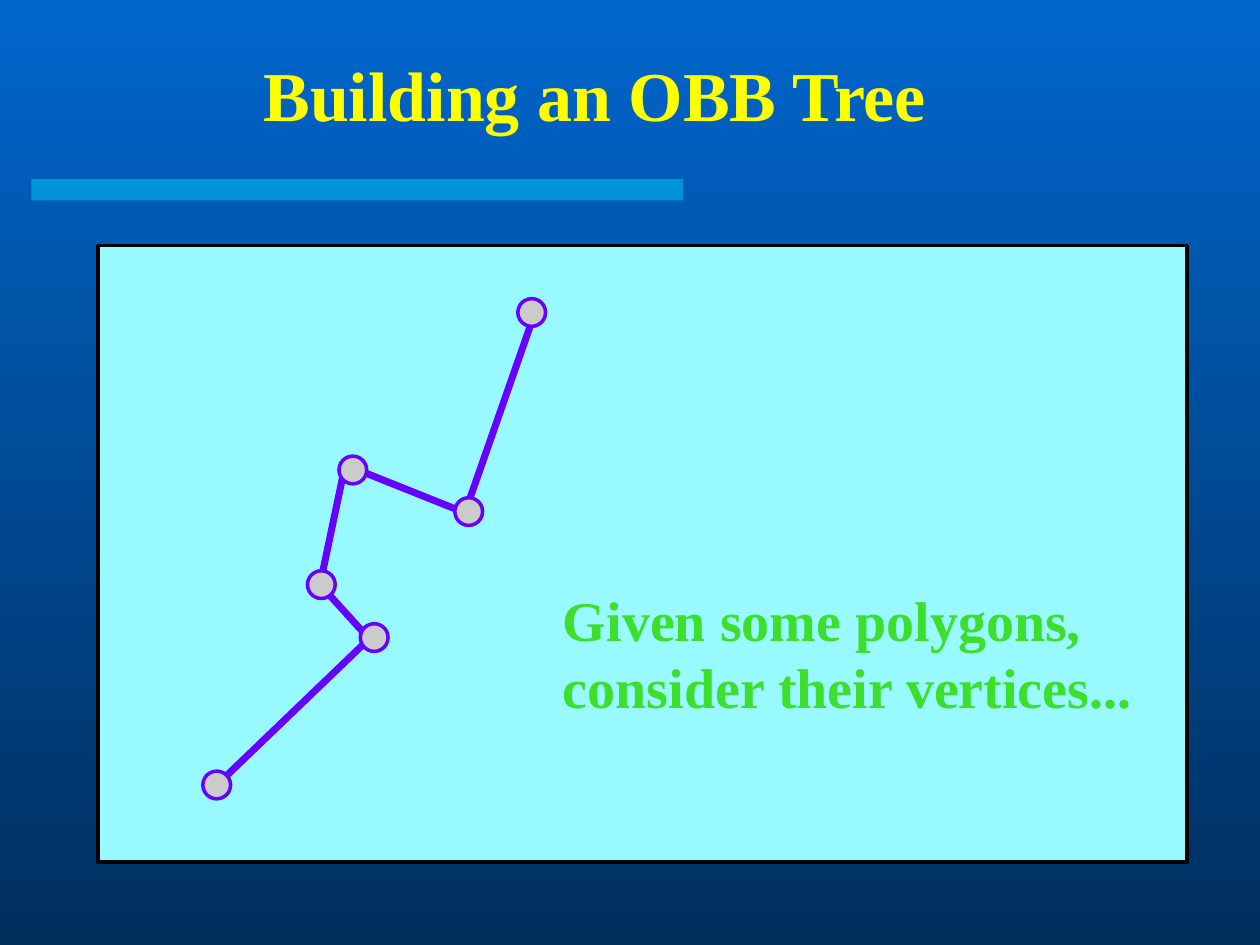
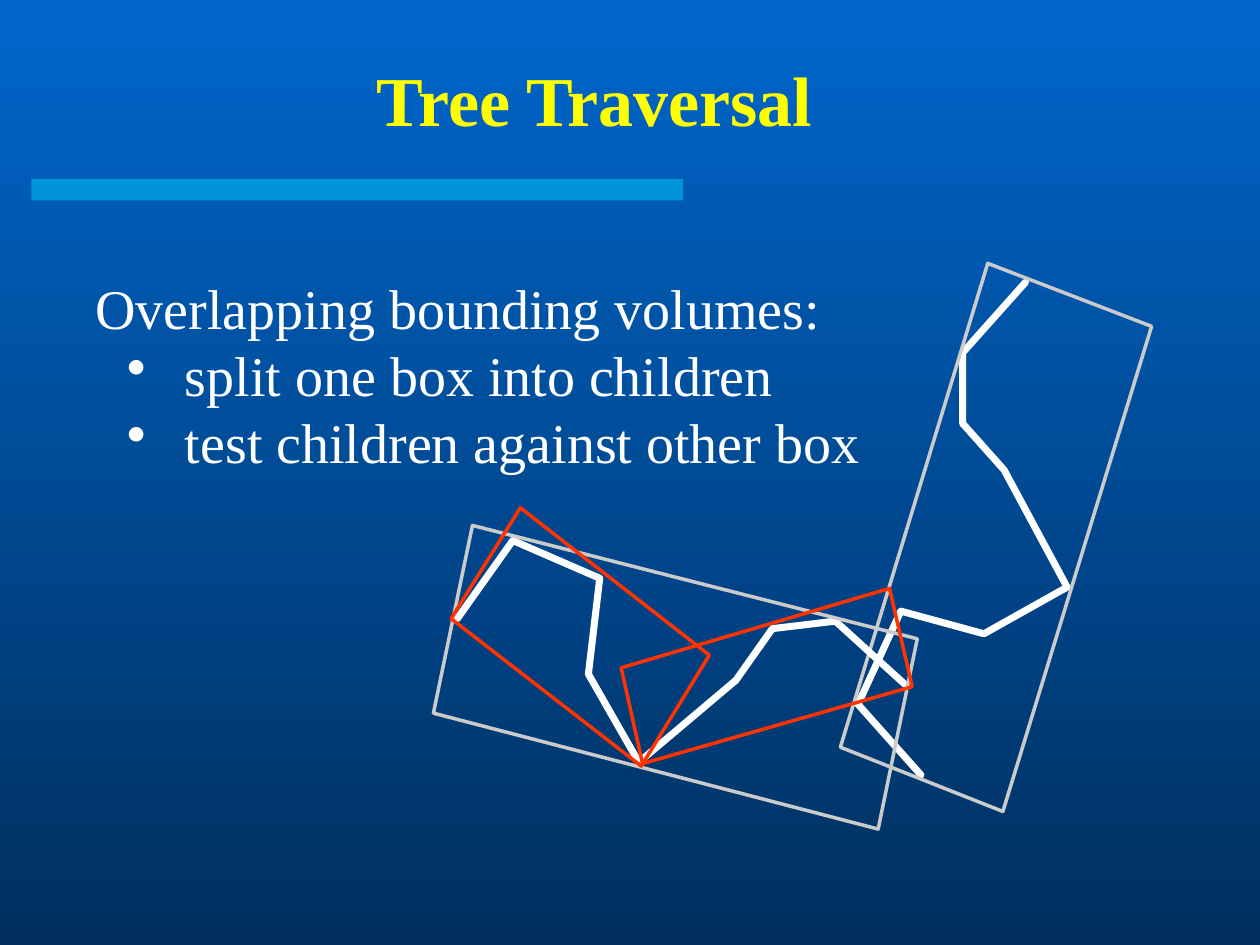
from dataclasses import dataclass

from lxml import etree
from pptx import Presentation
from pptx import util as u
from pptx.dml.color import RGBColor
from pptx.enum import shapes, text
from pptx.oxml.ns import qn

PX = 9144  # EMU in one px, 100 px to the inch
FONT = "Times New Roman"
COLORS = {
    "sky": "0066CC", "deep": "002F5E", "band": "00CCFF", "title": "FFFF00",
    "panel": "98FAFF", "black": "000000", "violet": "6600FF", "gray": "CBCBCB",
    "green": "3DDE2C", "white": "FFFFFF", "red": "FF3300",
}
VERTEX_SIZE = 22


@dataclass(frozen=True)
class Rect:
    left: int
    top: int
    width: int
    height: int

    def emu(self):
        return [side * PX for side in (self.left, self.top, self.width, self.height)]


@dataclass(frozen=True)
class Outline:
    points: tuple
    color: str
    weight: int
    closed: bool = False


@dataclass(frozen=True)
class Style:
    size: int
    color: str
    bold: bool = False


TITLE_RECT = Rect(29, 32, 886, 93)
BAND = Rect(25, 142, 517, 17)
PANEL = Rect(78, 195, 864, 489)
TITLE_STYLE = Style(40, "title", True)
CAPTION_STYLE = Style(32, "green", True)
BODY_STYLE = Style(32, "white")

POLYGON_CHAIN = Outline(
    ((426, 244), (369, 407), (274, 369), (254, 464), (293, 507), (168, 627)), "violet", 4)
VERTEX_CENTERS = ((172, 623), (297, 506), (255, 464), (280, 373), (372, 406), (422, 248))

VOLUMES = (
    Outline(((814, 224), (764, 280), (764, 336), (797, 373), (847, 466),
             (781, 503), (715, 485), (681, 559), (731, 615)), "white", 4),
    Outline(((784, 209), (914, 259), (796, 644), (667, 593)), "gray", 2, True),
    Outline(((718, 543), (663, 493), (613, 499), (584, 540), (507, 605),
             (467, 535), (476, 459), (407, 429), (363, 491)), "white", 4),
    Outline(((728, 507), (697, 658), (344, 566), (375, 417)), "gray", 2, True),
    Outline(((706, 467), (724, 545), (510, 606), (493, 530)), "red", 2, True),
    Outline(((563, 520), (509, 608), (358, 491), (413, 403)), "red", 2, True),
)


def rgb(name: str) -> RGBColor:
    return RGBColor.from_string(COLORS[name])


def add_solid(page, kind, rect: Rect, fill: str, line: str = ""):
    shape = page.shapes.add_shape(kind, *rect.emu())
    shape.shadow.inherit = False
    shape.fill.solid()
    shape.fill.fore_color.rgb = rgb(fill)
    if line:
        shape.line.color.rgb = rgb(line)
        shape.line.width = u.Pt(2)
    else:
        shape.line.fill.background()
    return shape


def add_outline(page, outline: Outline) -> None:
    """Draw an unfilled polyline with round ends and corners."""
    builder = page.shapes.build_freeform(*outline.points[0], scale=PX)
    builder.add_line_segments(outline.points[1:], close=outline.closed)
    shape = builder.convert_to_shape()
    shape.shadow.inherit = False
    shape.fill.background()
    shape.line.color.rgb = rgb(outline.color)
    shape.line.width = u.Pt(outline.weight)
    line = shape._element.spPr.find(qn("a:ln"))
    line.set("cap", "rnd")
    etree.SubElement(line, qn("a:round"))


def add_text(page, rect: Rect, lines: tuple, style: Style, wrap: bool = False):
    box = page.shapes.add_textbox(*rect.emu())
    frame = box.text_frame
    frame.word_wrap = wrap
    frame.text = "\n".join(lines)
    for para in frame.paragraphs:
        for span in para.runs:
            span.font.name = FONT
            span.font.size = u.Pt(style.size)
            span.font.bold = style.bold
            span.font.color.rgb = rgb(style.color)
    return frame


def add_bullet(para) -> None:
    props = para._p.get_or_add_pPr()
    props.set("marL", str(71 * PX))
    props.set("indent", str(-46 * PX))
    etree.SubElement(props, qn("a:buChar"), char="•")


def add_page(deck, title: str, spacing: float = 1.0):
    """Add a slide with the shared gradient, band and title."""
    page = deck.slides.add_slide(deck.slide_layouts[6])
    fill = page.background.fill
    fill.gradient()
    fill.gradient_angle = 270
    for stop, color in zip(fill.gradient_stops, ("sky", "deep")):
        stop.color.rgb = rgb(color)
    band = add_solid(page, shapes.MSO_SHAPE.RECTANGLE, BAND, "band")
    tint = band._element.spPr.find(qn("a:solidFill"))[0]
    etree.SubElement(tint, qn("a:alpha"), val="50000")
    frame = add_text(page, TITLE_RECT, (title,), TITLE_STYLE, wrap=True)
    frame.vertical_anchor = text.MSO_ANCHOR.MIDDLE
    frame.paragraphs[0].alignment = text.PP_ALIGN.CENTER
    frame.paragraphs[0].line_spacing = spacing
    return page


def build_tree_page(deck) -> None:
    page = add_page(deck, "Building an OBB Tree", 0.9)
    add_solid(page, shapes.MSO_SHAPE.RECTANGLE, PANEL, "panel", "black")
    add_outline(page, POLYGON_CHAIN)
    for x, y in VERTEX_CENTERS:
        rect = Rect(x - VERTEX_SIZE // 2, y - VERTEX_SIZE // 2, VERTEX_SIZE, VERTEX_SIZE)
        add_solid(page, shapes.MSO_SHAPE.OVAL, rect, "gray", "violet")
    add_text(page, Rect(437, 460, 474, 117),
             ("Given some polygons,", "consider their vertices..."), CAPTION_STYLE)


def build_traversal_page(deck) -> None:
    page = add_page(deck, "Tree Traversal")
    for outline in VOLUMES:
        add_outline(page, outline)
    frame = add_text(page, Rect(66, 212, 644, 169),
                     ("Overlapping bounding volumes:", "split one box into children",
                      "test children against other box"), BODY_STYLE)
    for para in frame.paragraphs[1:]:
        add_bullet(para)


def main() -> None:
    deck = Presentation()
    deck.slide_width, deck.slide_height = 1000 * PX, 750 * PX
    build_tree_page(deck)
    build_traversal_page(deck)
    deck.save("out.pptx")


if __name__ == "__main__":
    main()
